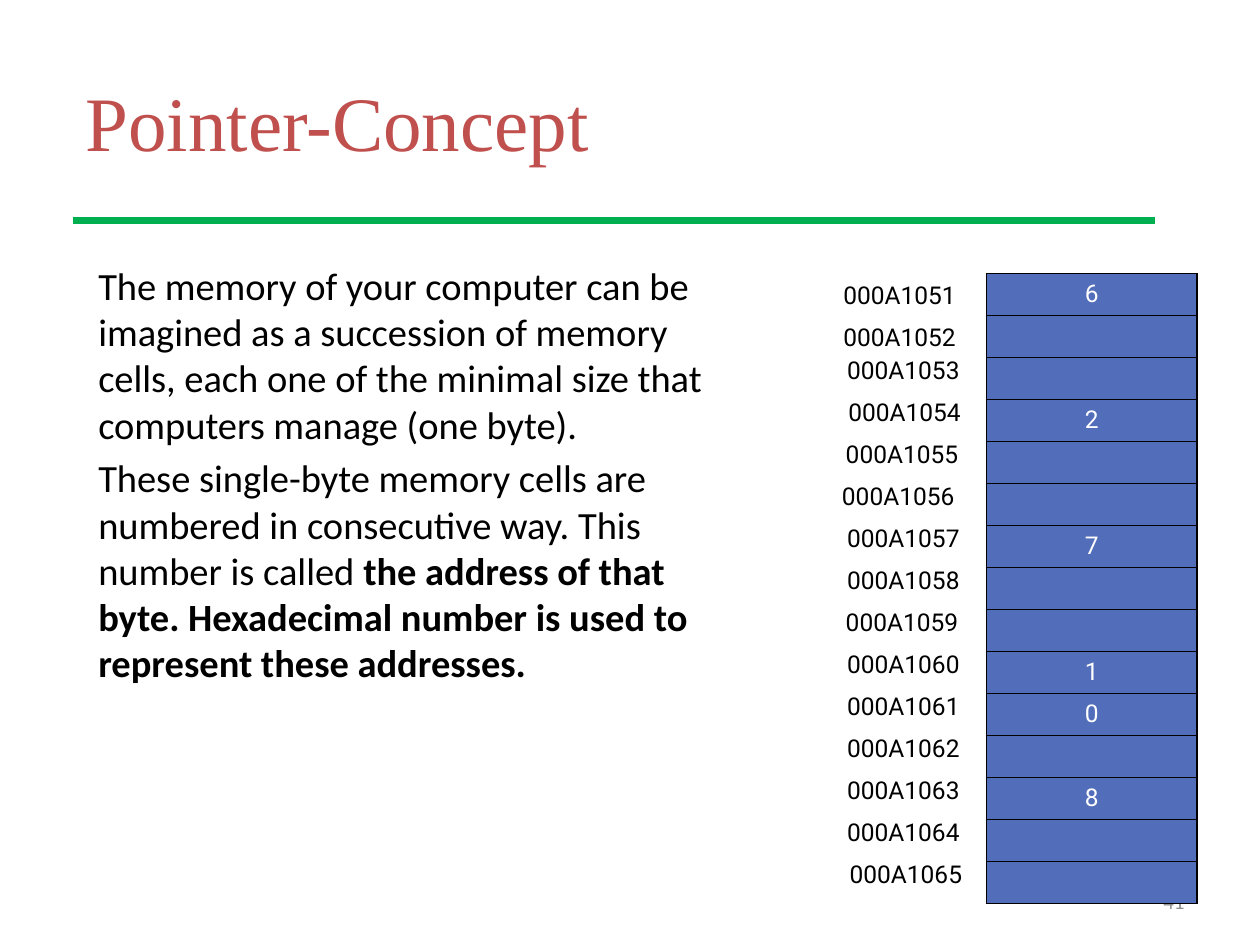
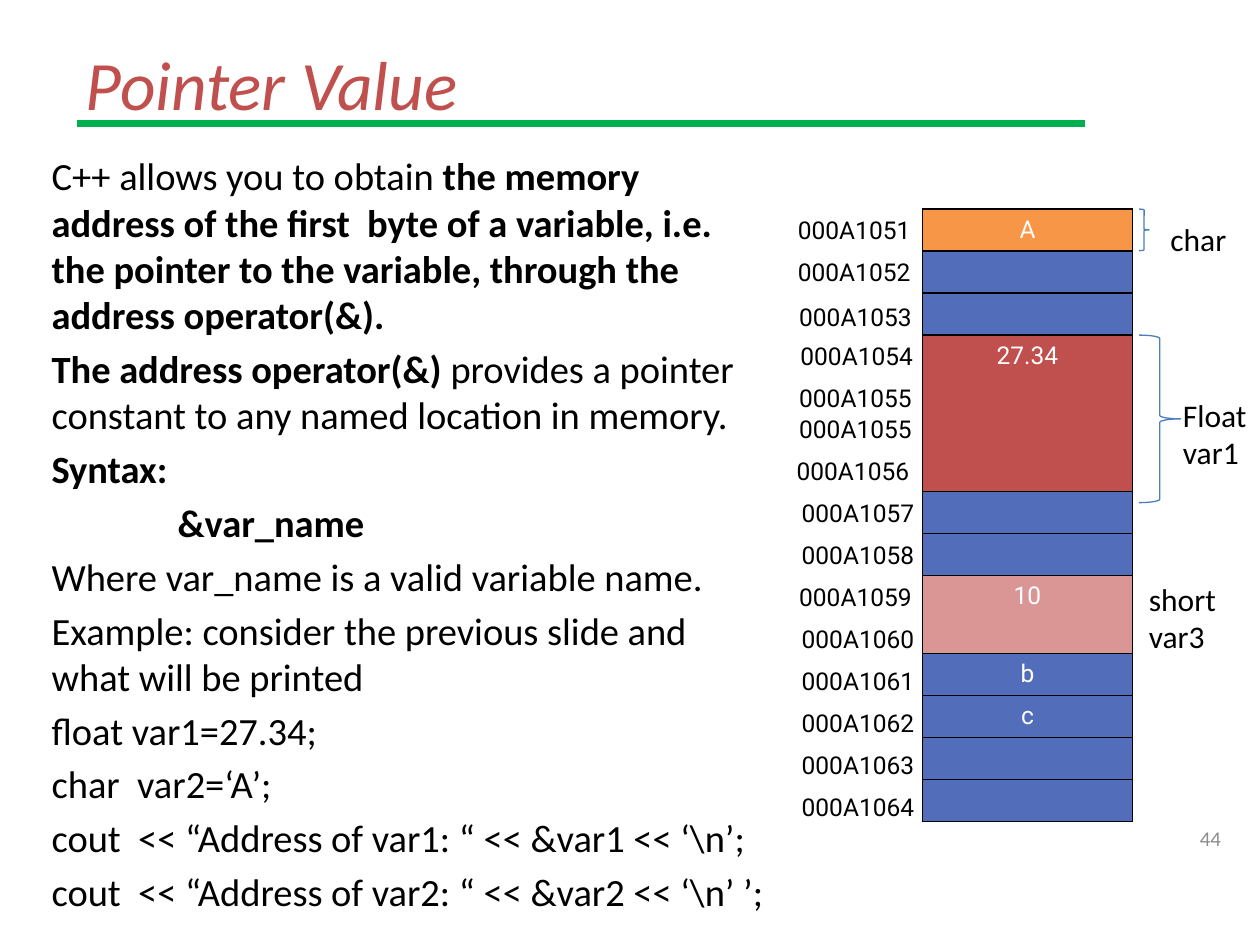
import pptx
import pptx.dml.color
import pptx.enum.shapes
import pptx.enum.text
import pptx.oxml
import pptx.oxml.ns
import pptx.util
from lxml import etree

Inches = pptx.util.Inches
Pt = pptx.util.Pt
ALIGN = pptx.enum.text.PP_ALIGN
ANCHOR = pptx.enum.text.MSO_ANCHOR

RED, GREEN, BLUE = "C0504D", "00B050", "526DBA"
ORANGE, PINK, BRACE_BLUE = "F79646", "D99694", "4B7EBC"
BLACK, WHITE, GREY = "000000", "FFFFFF", "8C8C8C"
BODY_FONT, CELL_FONT, TITLE_FONT = "Calibri", "Roboto", "Times New Roman"
ROW_H = 1 / 3
COLUMN_W = 1.67
LABEL_W = 1.2

CONCEPT_TEXT = [
    [("The memory of your computer can be imagined as a succession of memory cells, "
      "each one of the minimal size that computers manage (one byte).", False)],
    [("These single-byte memory cells are numbered in consecutive way. "
      "This number is called ", False),
     ("the address of that byte. Hexadecimal number is used to represent "
      "these addresses.", True)],
]
VALUE_TEXT = [
    [("C++ allows you to obtain ", False),
     ("the memory address of the first  byte of a variable, i.e. the pointer to the "
      "variable, through the address operator(&).", True)],
    [("The address operator(&) ", True),
     ("provides a pointer constant to any named location in memory.", False)],
    [("Syntax:", True)],
    [("&var_name", True)],
    [("Where var_name is a valid variable name.", False)],
    [("Example: consider the previous slide and what will be printed", False)],
    [("float var1=27.34;", False)],
    [("char  var2=‘A’;", False)],
    [("cout  << “Address of var1: “ << &var1 << ‘\\n’;", False)],
    [("cout  << “Address of var2: “ << &var2 << ‘\\n’ ’;", False)],
]
SYNTAX_LINE = 3

CONCEPT_CELLS = [(text, BLUE, ROW_H) for text in
                 ["6", "", "", "2", "", "", "7", "", "", "1", "0", "", "8", "", ""]]
EMPTY_CELL = ("", BLUE, ROW_H)
VALUE_CELLS = [
    ("A", ORANGE, ROW_H), EMPTY_CELL, EMPTY_CELL,
    ("27.34", RED, 1.24), EMPTY_CELL, EMPTY_CELL,
    ("10", PINK, 0.62), ("b", BLUE, ROW_H), ("c", BLUE, ROW_H),
    EMPTY_CELL, EMPTY_CELL,
]

CONCEPT_LABELS = [
    (2.17, 1051, [6.54, 6.54]),
    (2.77, 1053, [6.57, 6.58, 6.56, 6.53, 6.57, 6.57, 6.56] + [6.57] * 5 + [6.59]),
]
VALUE_LABELS = [
    (1.66, 1051, [6.18, 6.18]),
    (2.35, 1053, [6.19]),
    (2.66, 1054, [6.2, 6.19]),
    (3.24, 1055, [6.19, 6.17, 6.21, 6.21, 6.19] + [6.21] * 5),
]


def rgb(value):
    """Turn a hex string into a colour."""
    return pptx.dml.color.RGBColor.from_string(value)


def add_run(p, text, font=BODY_FONT, size=18, color=BLACK, bold=False, italic=False):
    """Add one formatted run to a paragraph."""
    r = p.add_run()
    r.text = text
    r.font.name = font
    r.font.size = Pt(size)
    r.font.color.rgb = rgb(color)
    r.font.bold = bold
    r.font.italic = italic


def add_label(slide, box, lines, align=ALIGN.LEFT, anchor=ANCHOR.TOP, wrap=True, **fmt):
    """Add a text box with one paragraph for each line."""
    tf = slide.shapes.add_textbox(*map(Inches, box)).text_frame
    tf.word_wrap = wrap
    tf.vertical_anchor = anchor
    for i, line in enumerate(lines):
        p = tf.add_paragraph() if i else tf.paragraphs[0]
        p.alignment = align
        add_run(p, line, **fmt)


def place(sp, box):
    """Move a placeholder to a box and return its text frame."""
    sp.left, sp.top, sp.width, sp.height = map(Inches, box)
    sp.text_frame.auto_size = pptx.enum.text.MSO_AUTO_SIZE.NONE
    return sp.text_frame


def add_title(slide, box, text, **fmt):
    """Fill the title placeholder."""
    tf = place(slide.shapes.title, box)
    tf.vertical_anchor = ANCHOR.MIDDLE
    p = tf.paragraphs[0]
    p.alignment = ALIGN.LEFT
    add_run(p, text, color=RED, **fmt)


def add_body(slide, box, paragraphs, indented=None):
    """Fill the body placeholder with unbulleted paragraphs."""
    tf = place(slide.placeholders[1], box)
    for i, runs in enumerate(paragraphs):
        p = tf.add_paragraph() if i else tf.paragraphs[0]
        pPr = p._p.get_or_add_pPr()
        pPr.set("marL", str(Inches(1 if i == indented else 0)))
        pPr.set("indent", "0")
        etree.SubElement(pPr, pptx.oxml.ns.qn("a:buNone"))
        p.space_before = Pt(4.4 if i else 0)
        for text, bold in runs:
            add_run(p, text, size=22, bold=bold)


def add_rule(slide, left, top, width):
    """Draw the green line under the title."""
    line = slide.shapes.add_connector(
        pptx.enum.shapes.MSO_CONNECTOR.STRAIGHT,
        *map(Inches, (left, top, left + width, top)))
    line.line.color.rgb = rgb(GREEN)
    line.line.width = Pt(4.25)
    etree.SubElement(line._element.spPr, pptx.oxml.ns.qn("a:effectLst"))


def add_page_number(slide, left, top, number):
    """Add the grey page number."""
    add_label(slide, (left, top, 2.33, 0.4), [number], align=ALIGN.RIGHT,
              anchor=ANCHOR.MIDDLE, size=12, color=GREY)


def add_borders(cell):
    """Give a cell thin black borders on all sides."""
    tcPr = cell._tc.get_or_add_tcPr()
    for i, side in enumerate("LRTB"):
        tcPr.insert(i, pptx.oxml.parse_xml(
            f'<a:ln{side} {pptx.oxml.ns.nsdecls("a")} w="12700"><a:solidFill>'
            f'<a:srgbClr val="{BLACK}"/></a:solidFill></a:ln{side}>'))


def add_memory(slide, left, top, cells):
    """Draw the column of memory cells as a table."""
    height = sum(h for _, _, h in cells)
    table = slide.shapes.add_table(
        len(cells), 1, *map(Inches, (left, top, COLUMN_W, height))).table
    table.first_row = table.horz_banding = False
    for i, (text, fill, h) in enumerate(cells):
        table.rows[i].height = Inches(h)
        cell = table.cell(i, 0)
        cell.fill.solid()
        cell.fill.fore_color.rgb = rgb(fill)
        add_borders(cell)
        p = cell.text_frame.paragraphs[0]
        p.alignment = ALIGN.CENTER
        if text:
            add_run(p, text, font=CELL_FONT, size=14, color=WHITE)
        else:
            etree.SubElement(p._p, pptx.oxml.ns.qn("a:endParaRPr"), sz="1200")


def add_addresses(slide, groups):
    """Write groups of consecutive addresses at the row pitch."""
    for top, first, lefts in groups:
        for i, left in enumerate(lefts):
            add_label(slide, (left, top + i * ROW_H, LABEL_W, 0.34),
                      [f"000A{first + i}"], align=ALIGN.CENTER,
                      font=CELL_FONT, size=14)


def add_brace(slide, box):
    """Draw a brace beside the cells of a variable."""
    sp = slide.shapes.add_shape(
        pptx.enum.shapes.MSO_SHAPE.RIGHT_BRACE, *map(Inches, box))
    sp.shadow.inherit = False
    sp.fill.background()
    sp.line.color.rgb = rgb(BRACE_BLUE)
    sp.line.width = Pt(0.75)


def add_variables(slide, left, top):
    """Mark the variables to the right of the memory column."""
    add_brace(slide, (left + 0.05, top + 1, 0.33, 1.33))
    add_brace(slide, (left + 0.05, top, 0.08, 0.33))
    for dx, dy, w, h, lines in [
        (0.3, 1.43, 0.71, 0.71, ["Float", "var1"]),
        (0.2, 0.04, 0.65, 0.4, ["char"]),
        (0.03, 2.89, 0.74, 0.71, ["short", "var3"]),
    ]:
        add_label(slide, (left + dx, top + dy, w, h), lines, wrap=False)


def build_concept(slide):
    """Build the slide on memory cells and addresses."""
    add_title(slide, (0.58, 0.33, 9, 1.25), "Pointer-Concept", font=TITLE_FONT, size=44)
    add_body(slide, (0.68, 2.03, 5.32, 5.14), CONCEPT_TEXT)
    add_rule(slide, 0.58, 1.75, 8.59)
    add_page_number(slide, 7.17, 6.95, "41")
    add_addresses(slide, CONCEPT_LABELS)
    add_memory(slide, 7.83, 2.17, CONCEPT_CELLS)


def build_value(slide):
    """Build the slide on the address operator."""
    add_title(slide, (0.58, 0.33, 9, 0.66), "Pointer Value", size=39.6, italic=True)
    add_body(slide, (0.31, 1.16, 5.89, 6.18), VALUE_TEXT, indented=SYNTAX_LINE)
    add_rule(slide, 0.61, 0.98, 8)
    add_page_number(slide, 7.46, 6.45, "44")
    add_memory(slide, 7.32, 1.66, VALUE_CELLS)
    add_variables(slide, 7.32 + COLUMN_W, 1.66)
    add_addresses(slide, VALUE_LABELS)


def main():
    """Build and save the presentation."""
    prs = pptx.Presentation()
    prs.slide_width, prs.slide_height = Inches(10), Inches(7.5)
    for build in (build_concept, build_value):
        build(prs.slides.add_slide(prs.slide_layouts[1]))
    prs.save("out.pptx")


if __name__ == "__main__":
    main()
